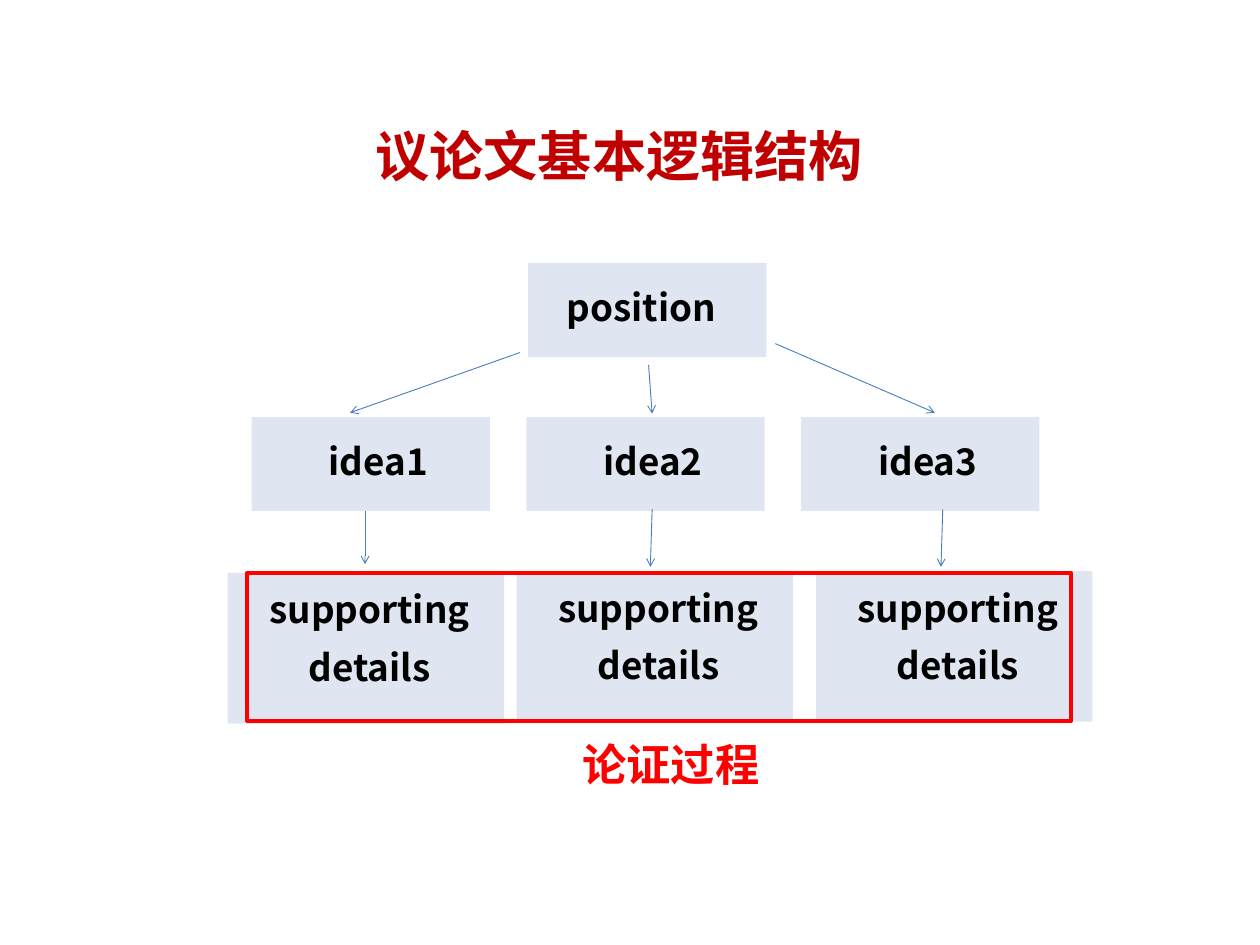
import pptx
import pptx.dml.color
import pptx.enum.shapes
import pptx.enum.text
import pptx.oxml
import pptx.oxml.ns
import pptx.util

Inches = pptx.util.Inches
Pt = pptx.util.Pt
RGBColor = pptx.dml.color.RGBColor

FONT = "Noto Sans CJK SC"
PALE = RGBColor(0xE0, 0xE6, 0xF1)
BLUE = RGBColor(0x4B, 0x7E, 0xBC)
BLACK = RGBColor(0, 0, 0)
CRIMSON = RGBColor(0xC0, 0, 0)
RED = RGBColor(0xFF, 0, 0)

# Each arrow runs from one point to another.
ARROWS = [
    ((5.87, 3.98), (3.95, 4.66)),
    ((7.32, 4.12), (7.36, 4.67)),
    ((8.75, 3.88), (10.55, 4.66)),
    ((4.12, 5.77), (4.12, 6.37)),
    ((7.36, 5.75), (7.34, 6.4)),
    ((10.64, 5.75), (10.62, 6.4)),
]


def add_node(parent, tag, **attrs):
    node = pptx.oxml.parse_xml(f"<a:{tag} {pptx.oxml.ns.nsdecls('a')}/>")
    for key, value in attrs.items():
        node.set(key, value)
    parent.append(node)


def write(shape, text, size, color, spacing=None):
    """Fill the shape with centred bold text, one paragraph a line."""
    frame = shape.text_frame
    frame.text = text
    frame.word_wrap = True
    frame.auto_size = pptx.enum.text.MSO_AUTO_SIZE.NONE
    frame.vertical_anchor = pptx.enum.text.MSO_ANCHOR.TOP
    for para in frame.paragraphs:
        para.alignment = pptx.enum.text.PP_ALIGN.CENTER
        para.line_spacing = spacing
        font = para.font
        font.size = Pt(size)
        font.bold = True
        font.color.rgb = color
        font.name = FONT
        add_node(para._p.pPr.defRPr, "ea", typeface=FONT)


def add_title(slide, text):
    title = slide.shapes.title
    title.left, title.top = Inches(3.73), Inches(1.33)
    title.width, title.height = Inches(6.52), Inches(0.84)
    write(title, text, 44, CRIMSON)


def add_label(slide, text, left, top, width, height, size, color, spacing=None):
    box = slide.shapes.add_textbox(
        Inches(left), Inches(top), Inches(width), Inches(height))
    write(box, text, size, color, spacing)


def add_rect(slide, left, top, width, height):
    rect = slide.shapes.add_shape(
        pptx.enum.shapes.MSO_SHAPE.RECTANGLE,
        Inches(left), Inches(top), Inches(width), Inches(height))
    rect.shadow.inherit = False
    return rect


def add_panel(slide, left, top, width, height):
    panel = add_rect(slide, left, top, width, height)
    panel.fill.solid()
    panel.fill.fore_color.rgb = PALE
    panel.line.fill.background()


def add_frame(slide, left, top, width, height):
    frame = add_rect(slide, left, top, width, height)
    frame.fill.background()
    frame.line.color.rgb = RED
    frame.line.width = Pt(3)


def add_topic(slide, text, left, top, inset, width):
    """A one-line box whose label starts at the inset."""
    add_panel(slide, left, top, 2.69, 1.06)
    add_label(slide, text, left + inset, top + 0.05, width, 0.75,
              29.9, BLACK, 1.3)


def add_detail(slide, left, top):
    add_panel(slide, left, top, 3.12, 1.7)
    add_label(slide, "supporting\ndetails", left + 0.31, top - 0.04, 2.58, 1.41,
              29.9, BLACK, 1.3)


def add_arrow(slide, start, end):
    line = slide.shapes.add_connector(
        pptx.enum.shapes.MSO_CONNECTOR.STRAIGHT,
        *(Inches(value) for value in start + end))
    line.line.color.rgb = BLUE
    line.line.width = Pt(0.75)
    add_node(line.line._get_or_add_ln(), "tailEnd", type="arrow")
    add_node(line._element.spPr, "effectLst")


def main():
    deck = pptx.Presentation()
    deck.slide_width, deck.slide_height = Inches(14.22), Inches(10.67)
    slide = deck.slides.add_slide(deck.slide_layouts.get_by_name("Title Only"))

    add_title(slide, "议论文基本逻辑结构")
    add_topic(slide, "position", 5.96, 2.97, 0.33, 1.9)
    for index in range(3):
        add_topic(slide, f"idea{index + 1}", 2.84 + 3.1 * index, 4.71, 0.72, 1.42)
    for left, top in ((2.57, 6.47), (5.83, 6.45), (9.21, 6.45)):
        add_detail(slide, left, top)
    for start, end in ARROWS:
        add_arrow(slide, start, end)
    add_frame(slide, 2.79, 6.47, 9.3, 1.67)
    add_label(slide, "论证过程", 5.2, 8.28, 4.74, 0.71, 36, RED)

    deck.save("out.pptx")


if __name__ == "__main__":
    main()
